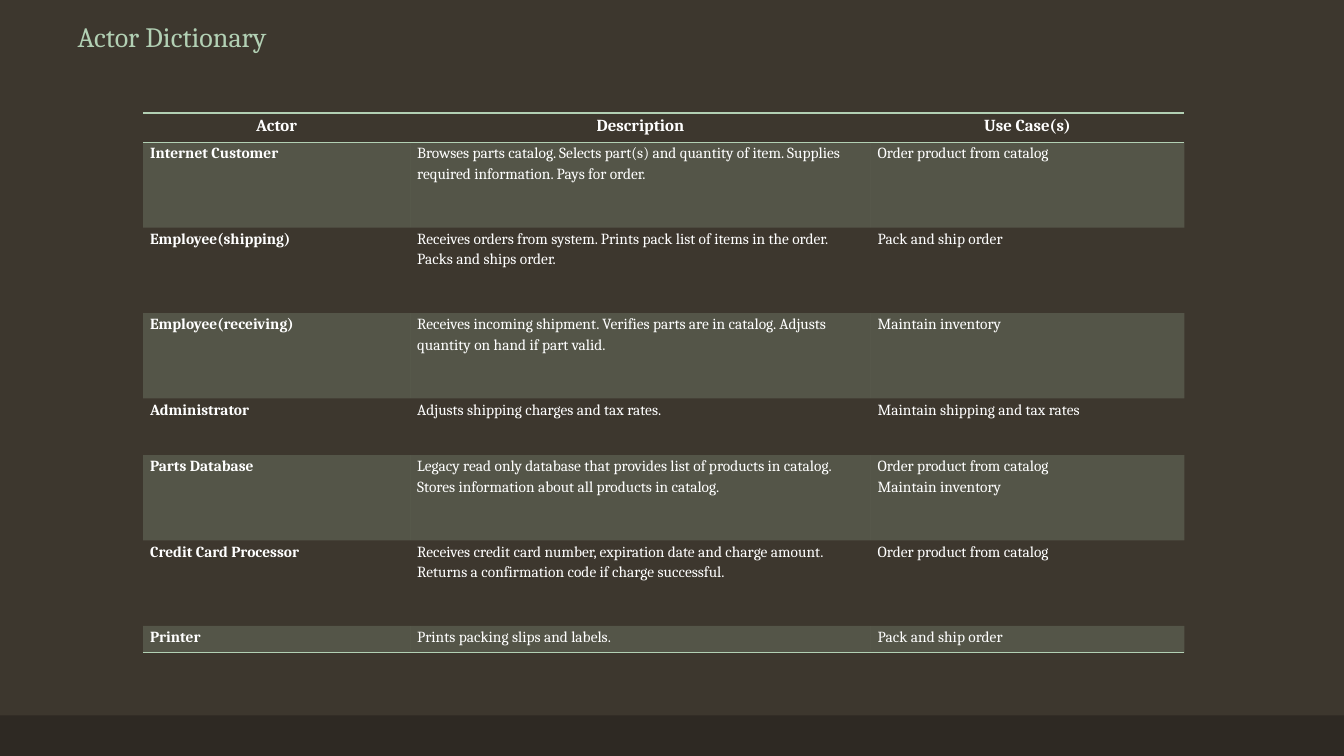
from dataclasses import dataclass

from lxml import etree
from pptx import Presentation
from pptx.dml.color import RGBColor
from pptx.enum.shapes import MSO_SHAPE
from pptx.enum.text import MSO_ANCHOR, MSO_AUTO_SIZE, PP_ALIGN
from pptx.oxml.ns import qn
from pptx.slide import Slide
from pptx.table import _Cell
from pptx.text.text import _Paragraph
from pptx.util import Pt

RECTANGLE = MSO_SHAPE.RECTANGLE
BOTTOM = MSO_ANCHOR.BOTTOM
NO_AUTOFIT = MSO_AUTO_SIZE.NONE
LEFT, CENTER = PP_ALIGN.LEFT, PP_ALIGN.CENTER
TITLE_ONLY_LAYOUT = 5
NO_STYLE_NO_GRID = "{2D5ABB26-0587-4C30-8999-92F81FD0307C}"


@dataclass(frozen=True)
class Theme:
    font: str = "Cambria"
    background: str = "3D372E"
    footer: str = "2E2923"
    accent: str = "B2D0B4"
    text: str = "FFFFFF"
    title_size: float = 20
    header_size: float = 12
    body_size: float = 11
    band_opacity: int = 20
    rule_width: float = 1


@dataclass(frozen=True)
class Actor:
    name: str
    description: str
    use_cases: tuple[str, ...]
    height: float = 61


THEME = Theme()
HEADINGS = ("Actor", "Description", "Use Case(s)")
HEADER_HEIGHT = 21
COLUMN_WIDTHS = (190.8, 329, 224)
ACTORS = (
    Actor(
        "Internet Customer",
        "Browses parts catalog. Selects part(s) and quantity of item. "
        "Supplies required information. Pays for order.",
        ("Order product from catalog",),
    ),
    Actor(
        "Employee(shipping)",
        "Receives orders from system. Prints pack list of items in the order. "
        "Packs and ships order.",
        ("Pack and ship order",),
    ),
    Actor(
        "Employee(receiving)",
        "Receives incoming shipment. Verifies parts are in catalog. "
        "Adjusts quantity on hand if part valid.",
        ("Maintain inventory",),
    ),
    Actor(
        "Administrator",
        "Adjusts shipping charges and tax rates.",
        ("Maintain shipping and tax rates",),
        40.5,
    ),
    Actor(
        "Parts Database",
        "Legacy read only database that provides list of products in catalog. "
        "Stores information about all products in catalog.",
        ("Order product from catalog", "Maintain inventory"),
    ),
    Actor(
        "Credit Card Processor",
        "Receives credit card number, expiration date and charge amount. "
        "Returns a confirmation code if charge successful.",
        ("Order product from catalog",),
    ),
    Actor(
        "Printer",
        "Prints packing slips and labels.",
        ("Pack and ship order",),
        19.3,
    ),
)


def color(value: str) -> RGBColor:
    return RGBColor.from_string(value)


def add_run(paragraph: _Paragraph, text: str, size: float, ink: str, bold: bool = False) -> None:
    run = paragraph.add_run()
    run.text = text
    run.font.name = THEME.font
    run.font.size = Pt(size)
    run.font.bold = bold
    run.font.color.rgb = color(ink)


def draw_footer(slide: Slide) -> None:
    footer = slide.shapes.add_shape(RECTANGLE, Pt(0), Pt(511), Pt(960), Pt(29))
    footer.shadow.inherit = False
    footer.fill.solid()
    footer.fill.fore_color.rgb = color(THEME.footer)
    footer.line.fill.background()


def draw_title(slide: Slide, text: str) -> None:
    title = slide.shapes.title
    title.left, title.top, title.width, title.height = Pt(48.2), Pt(12.2), Pt(318.2), Pt(29.5)
    frame = title.text_frame
    frame.auto_size = NO_AUTOFIT
    frame.word_wrap = True
    frame.vertical_anchor = BOTTOM
    paragraph = frame.paragraphs[0]
    paragraph.alignment = LEFT
    paragraph.line_spacing = 0.9
    add_run(paragraph, text, THEME.title_size, THEME.accent)


def write_cell(cell: _Cell, lines: tuple[str, ...], size: float, bold: bool, alignment: PP_ALIGN) -> None:
    cell.margin_left = cell.margin_right = Pt(5)
    cell.margin_top = cell.margin_bottom = Pt(0)
    frame = cell.text_frame
    for index, line in enumerate(lines):
        paragraph = frame.add_paragraph() if index else frame.paragraphs[0]
        paragraph.alignment = alignment
        paragraph.line_spacing = 1.15
        add_run(paragraph, line, size, THEME.text, bold)


def fill_cell(cell: _Cell, banded: bool) -> None:
    if not banded:
        cell.fill.background()
        return
    cell.fill.solid()
    cell.fill.fore_color.rgb = color(THEME.accent)
    tint = cell._tc.tcPr.find(f".//{qn('a:srgbClr')}")
    etree.SubElement(tint, qn("a:alpha"), val=str(THEME.band_opacity * 1000))


def rule_cell(cell: _Cell, sides: tuple[str, ...]) -> None:
    properties = cell._tc.get_or_add_tcPr()
    for position, side in enumerate(sides):
        line = etree.Element(qn(f"a:{side}"), w=str(Pt(THEME.rule_width)))
        fill = etree.SubElement(line, qn("a:solidFill"))
        etree.SubElement(fill, qn("a:srgbClr"), val=THEME.accent)
        properties.insert(position, line)


def draw_actor_table(slide: Slide) -> None:
    heights = (HEADER_HEIGHT, *(actor.height for actor in ACTORS))
    table = slide.shapes.add_table(
        len(heights), len(COLUMN_WIDTHS), Pt(102.2), Pt(80.7),
        Pt(sum(COLUMN_WIDTHS)), Pt(sum(heights)),
    ).table
    table._tbl.tblPr.find(qn("a:tableStyleId")).text = NO_STYLE_NO_GRID
    for column, width in zip(table.columns, COLUMN_WIDTHS):
        column.width = Pt(width)
    for row, height in zip(table.rows, heights):
        row.height = Pt(height)

    for column_index, heading in enumerate(HEADINGS):
        cell = table.cell(0, column_index)
        write_cell(cell, (heading,), THEME.header_size, True, CENTER)
        fill_cell(cell, False)
        rule_cell(cell, ("lnT", "lnB"))

    for row_index, actor in enumerate(ACTORS, start=1):
        contents = ((actor.name,), (actor.description,), actor.use_cases)
        for column_index, lines in enumerate(contents):
            cell = table.cell(row_index, column_index)
            write_cell(cell, lines, THEME.body_size, column_index == 0, LEFT)
            fill_cell(cell, row_index % 2 == 1)
            if row_index == len(ACTORS):
                rule_cell(cell, ("lnB",))


def main() -> None:
    presentation = Presentation()
    presentation.slide_width, presentation.slide_height = Pt(960), Pt(540)
    slide = presentation.slides.add_slide(presentation.slide_layouts[TITLE_ONLY_LAYOUT])
    slide.background.fill.solid()
    slide.background.fill.fore_color.rgb = color(THEME.background)
    draw_footer(slide)
    draw_title(slide, "Actor Dictionary")
    draw_actor_table(slide)
    presentation.save("out.pptx")


if __name__ == "__main__":
    main()
